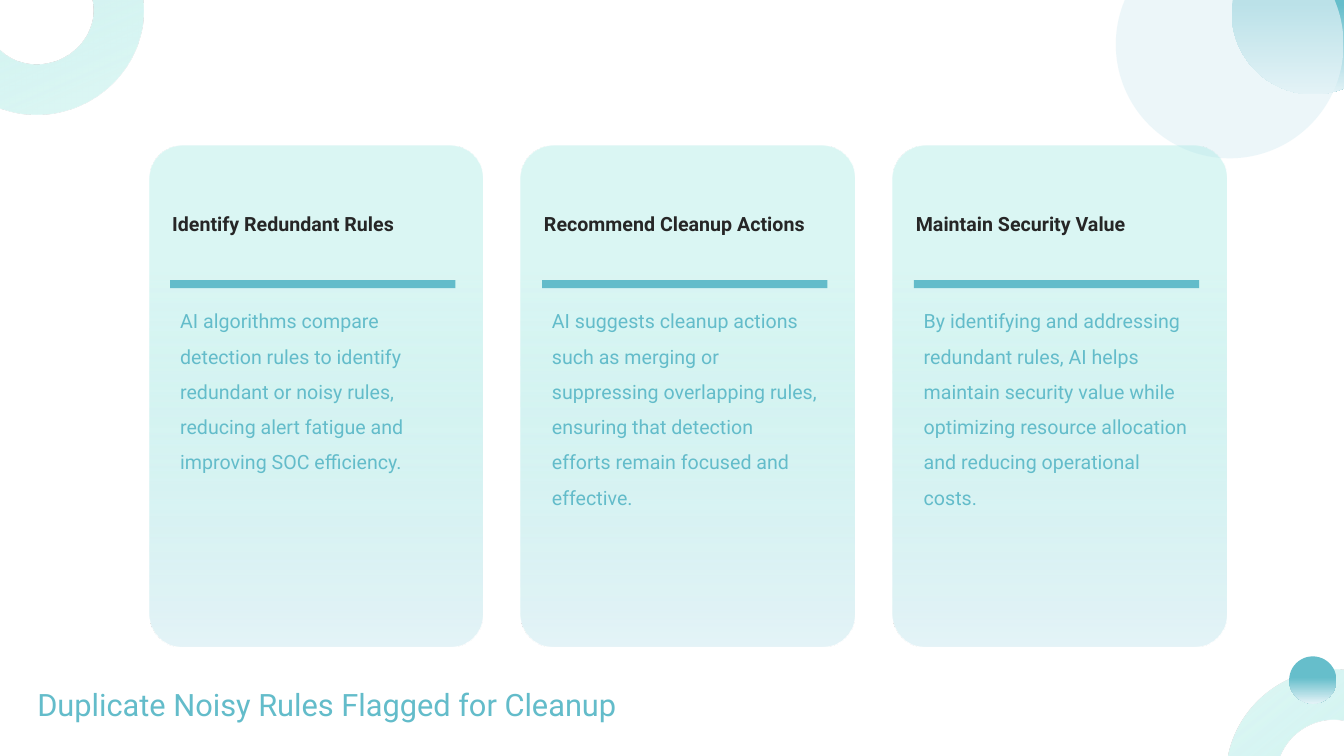
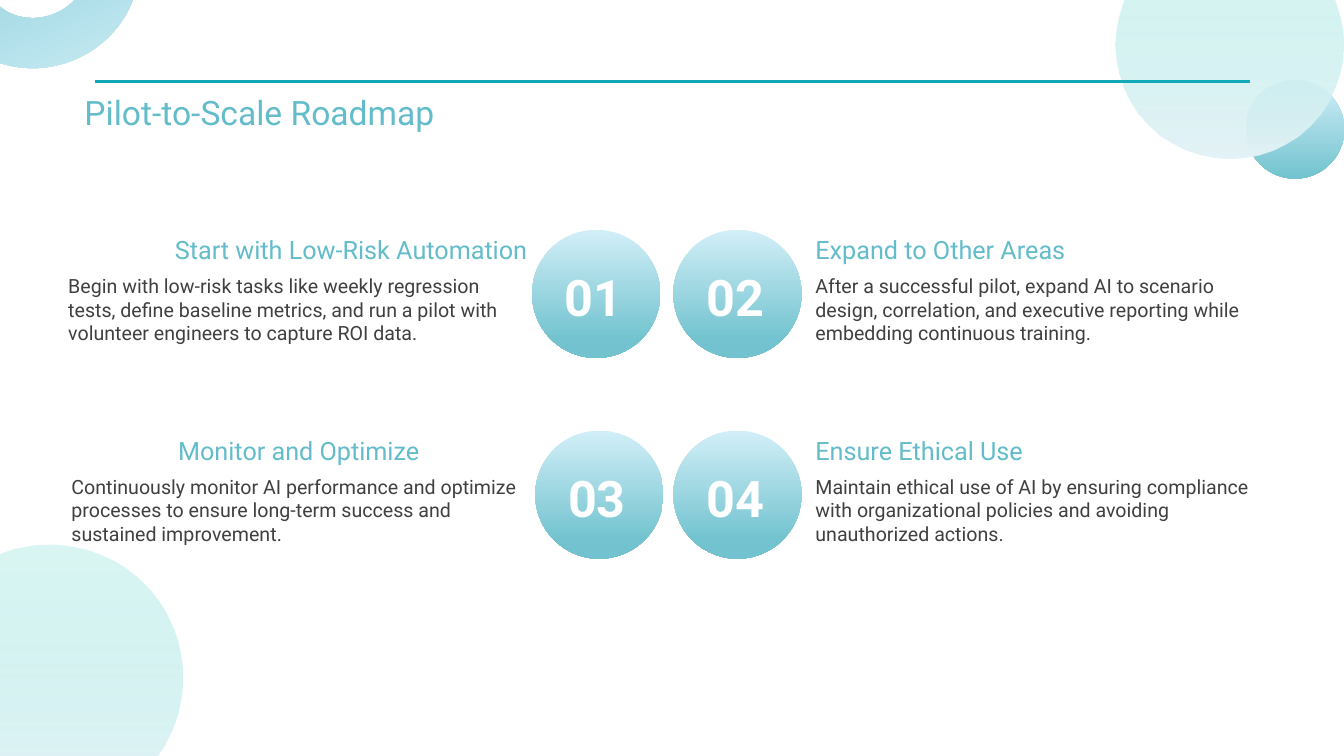
from dataclasses import dataclass
from typing import NamedTuple

from pptx import Presentation
from pptx.dml.color import RGBColor
from pptx.enum.shapes import MSO_CONNECTOR, MSO_SHAPE
from pptx.enum.text import MSO_ANCHOR, MSO_AUTO_SIZE, PP_ALIGN
from pptx.oxml import parse_xml
from pptx.oxml.ns import nsdecls, qn
from pptx.shapes.autoshape import Shape
from pptx.slide import Slide
from pptx.text.text import TextFrame
from pptx.util import Cm, Pt

FONT = "Roboto"
TEAL = RGBColor(0x63, 0xBC, 0xCA)
DEEP_TEAL = RGBColor(0x11, 0xA9, 0xB8)
BRIGHT_TEAL = RGBColor(0x66, 0xBE, 0xCB)
SOFT_TEAL = RGBColor(0x72, 0xC3, 0xCF)
MINT = RGBColor(0xA8, 0xEA, 0xE4)
ICE = RGBColor(0xE4, 0xF3, 0xF7)
SKY = RGBColor(0xD2, 0xEF, 0xF8)
INK = RGBColor(0x26, 0x26, 0x26)
GRAY = RGBColor(0x40, 0x40, 0x40)
WHITE = RGBColor(0xFF, 0xFF, 0xFF)


class Stop(NamedTuple):
    position: int
    color: RGBColor
    opacity: int = 100


class Box(NamedTuple):
    left: float
    top: float
    width: float
    height: float


@dataclass(frozen=True)
class TextStyle:
    size: int
    color: RGBColor
    bold: bool = False
    line_spacing: float | None = None
    align: PP_ALIGN | None = None


@dataclass(frozen=True)
class Card:
    heading: str
    body: str


@dataclass(frozen=True)
class Step:
    number: str
    heading: str
    body: str
    circle_left: float
    circle_top: float
    heading_offset: float
    body_offset: float


BRIGHT_FADE = (Stop(0, BRIGHT_TEAL), Stop(45, BRIGHT_TEAL), Stop(100, ICE))
CARD_FADE = (Stop(0, MINT, 42), Stop(25, MINT, 42), Stop(100, ICE))
MINT_FADE = (Stop(0, MINT, 42), Stop(100, ICE))
SKY_FADE = (Stop(0, SKY), Stop(100, SOFT_TEAL))
NUMBER_FADE = (Stop(0, SKY), Stop(86, SOFT_TEAL), Stop(100, SOFT_TEAL))
PALE_FILL = (Stop(0, ICE, 67), Stop(100, ICE, 67))

CLEANUP_TITLE = TextStyle(22, TEAL)
ROADMAP_TITLE = TextStyle(24, TEAL)
CARD_HEADING = TextStyle(14, INK, bold=True)
CARD_BODY = TextStyle(14, TEAL, line_spacing=1.5)
STEP_HEADING = TextStyle(18, TEAL)
STEP_BODY = TextStyle(14, GRAY)
STEP_NUMBER = TextStyle(36, WHITE, bold=True, align=PP_ALIGN.CENTER)

CORNER_CIRCLE = Box(28.12, -1.75, 5.74, 5.74)
RING_WIDTH, RING_HEIGHT = 5.26, 5.05

CARD_LEFT, CARD_TOP, CARD_PITCH = 3.76, 3.68, 9.37
CARDS = (
    Card(
        "Identify Redundant Rules",
        "AI algorithms compare detection rules to identify redundant or noisy rules, "
        "reducing alert fatigue and improving SOC efficiency.",
    ),
    Card(
        "Recommend Cleanup Actions",
        "AI suggests cleanup actions such as merging or suppressing overlapping rules, "
        "ensuring that detection efforts remain focused and effective.",
    ),
    Card(
        "Maintain Security Value",
        "By identifying and addressing redundant rules, AI helps maintain security value "
        "while optimizing resource allocation and reducing operational costs.",
    ),
)

NUMBER_SIZE = 3.23
UPPER_ROW, LOWER_ROW = 5.79, 10.85
RIGHT_CIRCLE = 16.97
LEFT_OFFSETS = (-9.25, -11.94)
RIGHT_OFFSETS = (3.33, 3.33)
STEPS = (
    Step(
        "01",
        "Start with Low-Risk Automation",
        "Begin with low-risk tasks like weekly regression tests, define baseline metrics, "
        "and run a pilot with volunteer engineers to capture ROI data.",
        13.41, UPPER_ROW, *LEFT_OFFSETS,
    ),
    Step(
        "02",
        "Expand to Other Areas",
        "After a successful pilot, expand AI to scenario design, correlation, and executive "
        "reporting while embedding continuous training.",
        RIGHT_CIRCLE, UPPER_ROW, *RIGHT_OFFSETS,
    ),
    Step(
        "03",
        "Monitor and Optimize",
        "Continuously monitor AI performance and optimize processes to ensure long-term "
        "success and sustained improvement.",
        13.49, LOWER_ROW, *LEFT_OFFSETS,
    ),
    Step(
        "04",
        "Ensure Ethical Use",
        "Maintain ethical use of AI by ensuring compliance with organizational policies "
        "and avoiding unauthorized actions.",
        RIGHT_CIRCLE, LOWER_ROW, *RIGHT_OFFSETS,
    ),
)


def fill_gradient(shape: Shape, stops: tuple[Stop, ...]) -> None:
    stop_xml = "".join(
        f'<a:gs pos="{stop.position * 1000}"><a:srgbClr val="{stop.color}">'
        f'<a:alpha val="{stop.opacity * 1000}"/></a:srgbClr></a:gs>'
        for stop in stops
    )
    gradient = parse_xml(
        f'<a:gradFill {nsdecls("a")} rotWithShape="1"><a:gsLst>{stop_xml}</a:gsLst>'
        '<a:lin ang="5400000" scaled="0"/></a:gradFill>'
    )
    shape._element.spPr.find(qn("a:prstGeom")).addnext(gradient)


def add_plain_shape(slide: Slide, kind: MSO_SHAPE, box: Box) -> Shape:
    shape = slide.shapes.add_shape(kind, *(Cm(length) for length in box))
    shape.shadow.inherit = False
    shape.line.fill.background()
    return shape


def add_gradient_shape(
    slide: Slide, kind: MSO_SHAPE, box: Box, stops: tuple[Stop, ...]
) -> Shape:
    shape = add_plain_shape(slide, kind, box)
    fill_gradient(shape, stops)
    return shape


def add_circle(slide: Slide, box: Box, stops: tuple[Stop, ...]) -> Shape:
    return add_gradient_shape(slide, MSO_SHAPE.OVAL, box, stops)


def add_ring(
    slide: Slide, left: float, top: float, rotation: int, stops: tuple[Stop, ...]
) -> None:
    box = Box(left, top, RING_WIDTH, RING_HEIGHT)
    ring = add_gradient_shape(slide, MSO_SHAPE.BLOCK_ARC, box, stops)
    for index, value in enumerate((108, 0, 0.25)):
        ring.adjustments[index] = value
    ring.rotation = rotation


def write_text(frame: TextFrame, text: str, style: TextStyle) -> None:
    frame.word_wrap = True
    paragraph = frame.paragraphs[0]
    paragraph.line_spacing = style.line_spacing
    paragraph.alignment = style.align
    run = paragraph.add_run()
    run.text = text
    run.font.name = FONT
    run.font.size = Pt(style.size)
    run.font.bold = style.bold
    run.font.color.rgb = style.color


def add_text(
    slide: Slide,
    box: Box,
    text: str,
    style: TextStyle,
    anchor: MSO_ANCHOR = MSO_ANCHOR.TOP,
) -> TextFrame:
    frame = slide.shapes.add_textbox(*(Cm(length) for length in box)).text_frame
    frame.vertical_anchor = anchor
    write_text(frame, text, style)
    return frame


def add_card_panel(slide: Slide, left: float) -> None:
    panel = add_gradient_shape(
        slide, MSO_SHAPE.ROUNDED_RECTANGLE, Box(left, CARD_TOP, 8.41, 12.62), CARD_FADE
    )
    panel.adjustments[0] = 0.1
    bar = add_plain_shape(slide, MSO_SHAPE.RECTANGLE, Box(left + 0.53, 7.06, 7.19, 0.2))
    bar.fill.solid()
    bar.fill.fore_color.rgb = TEAL


def add_card_text(slide: Slide, left: float, card: Card) -> None:
    heading_box = Box(left + 0.33, 4.8, 7.8, 1.65)
    add_text(slide, heading_box, card.heading, CARD_HEADING, MSO_ANCHOR.MIDDLE)
    add_text(slide, Box(left + 0.53, 7.37, 7.19, 8.31), card.body, CARD_BODY)


def add_step(slide: Slide, step: Step) -> None:
    left, top = step.circle_left, step.circle_top
    circle = add_circle(slide, Box(left, top, NUMBER_SIZE, NUMBER_SIZE), NUMBER_FADE)
    frame = circle.text_frame
    frame.margin_left = frame.margin_bottom = Cm(0.13)
    frame.margin_top = frame.margin_right = Cm(0.25)
    frame.vertical_anchor = MSO_ANCHOR.MIDDLE
    write_text(frame, step.number, STEP_NUMBER)
    heading_box = Box(left + step.heading_offset, top, 9.96, 0.94)
    add_text(slide, heading_box, step.heading, STEP_HEADING)
    body_box = Box(left + step.body_offset, top + 0.99, 11.94, 3.35)
    add_text(slide, body_box, step.body, STEP_BODY)


def add_title_rule(slide: Slide) -> None:
    rule = slide.shapes.add_connector(
        MSO_CONNECTOR.STRAIGHT, Cm(2.39), Cm(2.06), Cm(31.5), Cm(2.06)
    )
    rule.line.color.rgb = DEEP_TEAL
    rule.line.width = Pt(2.25)
    rule._element.spPr.append(parse_xml(f'<a:effectLst {nsdecls("a")}/>'))


def build_cleanup_slide(slide: Slide) -> None:
    add_circle(slide, Box(31.04, -1.73, 4.11, 4.11), BRIGHT_FADE)
    add_ring(slide, -1.63, -2.18, 157, CARD_FADE)
    add_text(
        slide,
        Box(0.69, 16.64, 16.64, 2.21),
        "Duplicate Noisy Rules Flagged for Cleanup",
        CLEANUP_TITLE,
        MSO_ANCHOR.MIDDLE,
    )
    add_circle(slide, CORNER_CIRCLE, PALE_FILL)
    for index, card in enumerate(CARDS):
        left = CARD_LEFT + index * CARD_PITCH
        add_card_panel(slide, left)
        add_card_text(slide, left, card)
    add_ring(slide, 30.86, 16.92, 321, CARD_FADE)
    add_circle(slide, Box(32.49, 16.54, 1.19, 1.19), BRIGHT_FADE)


def build_roadmap_slide(slide: Slide) -> None:
    add_circle(slide, Box(31.39, 2.01, 2.49, 2.49), SKY_FADE)
    add_ring(slide, -1.73, -3.35, 157, SKY_FADE)
    title_box = Box(1.88, 2.18, 28.93, 1.02)
    title = add_text(slide, title_box, "Pilot-to-Scale Roadmap", ROADMAP_TITLE)
    title.auto_size = MSO_AUTO_SIZE.SHAPE_TO_FIT_TEXT
    add_circle(slide, CORNER_CIRCLE, MINT_FADE)
    add_circle(slide, Box(-2.11, 13.72, 6.71, 6.71), MINT_FADE)
    add_title_rule(slide)
    for step in STEPS:
        add_step(slide, step)


def main() -> None:
    presentation = Presentation()
    presentation.slide_width = Cm(33.87)
    presentation.slide_height = Cm(19.05)
    blank_layout = presentation.slide_layouts[6]
    for build_slide in (build_cleanup_slide, build_roadmap_slide):
        build_slide(presentation.slides.add_slide(blank_layout))
    presentation.save("out.pptx")


if __name__ == "__main__":
    main()
